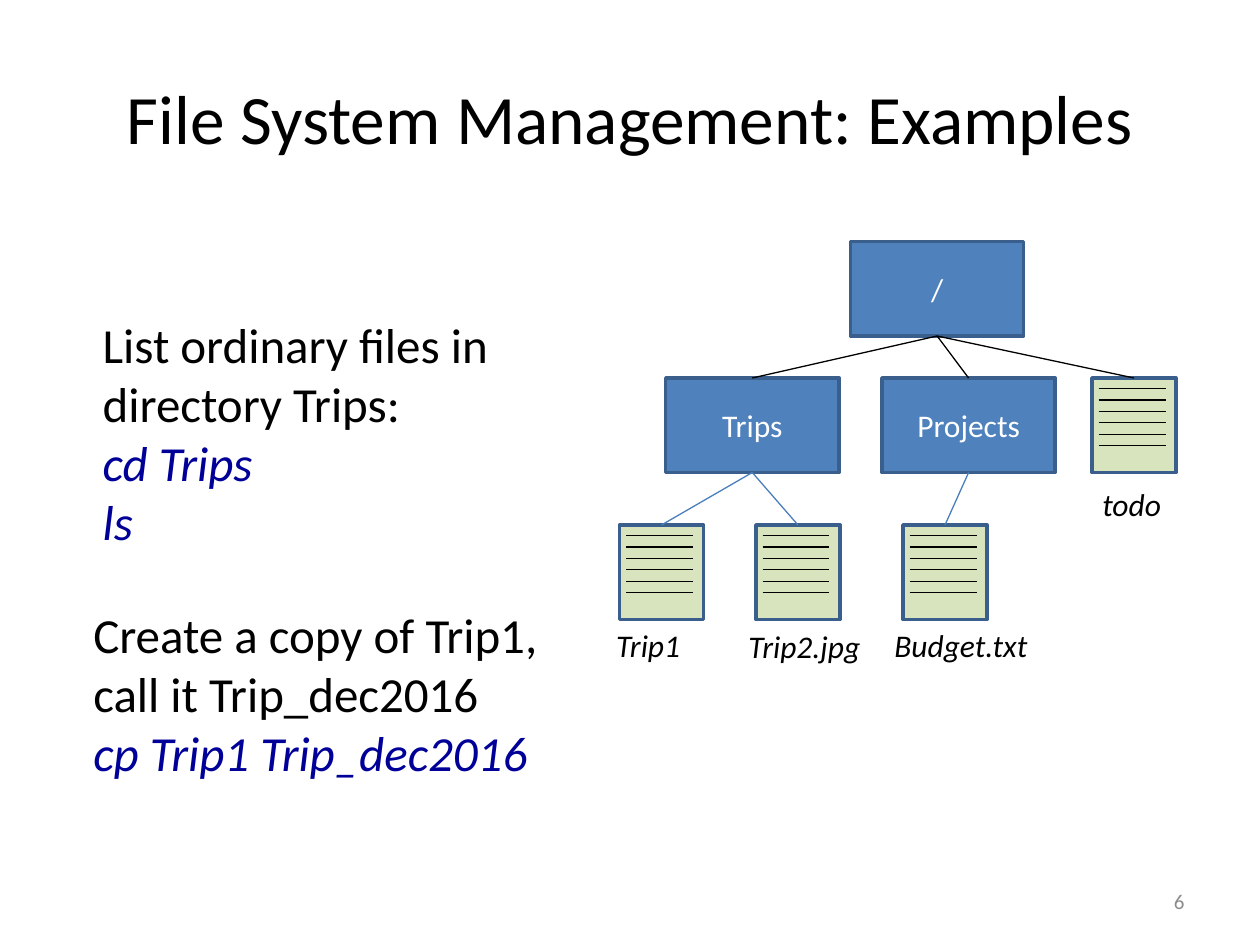
from lxml.etree import SubElement
from pptx import Presentation
from pptx.dml.color import RGBColor as RGB
from pptx.enum.shapes import MSO_CONNECTOR as Link, MSO_SHAPE as Kind
from pptx.enum.text import MSO_ANCHOR as Anchor, MSO_AUTO_SIZE as Fit, PP_ALIGN as Align
from pptx.oxml.ns import qn
from pptx.util import Inches, Pt


def tint(code):
    return RGB.from_string(code)


class Deck:
    """Style and current slide, measured in cells of a twelfth of an inch."""

    font, ink, blue = "Calibri", "000000", "4F81BD"
    edge, leaf, wire = "3A5F8C", "D7E4BD", "4B7EBC"
    code, pale, white = "000099", "8C8C8C", "FFFFFF"

    def __init__(self):
        self.show = Presentation()
        self.show.slide_width, self.show.slide_height = Inches(10), Inches(7.5)
        self.slide = self.show.slides.add_slide(self.show.slide_layouts[5])
        self.cell = self.show.slide_width / 120

    def grid(self, *cells):
        return [round(n * self.cell) for n in cells]

    def style(self, para, size, color, slant=False, align=Align.LEFT):
        para.alignment = align
        for run in para.runs:
            font = run.font
            font.name, font.size, font.italic = self.font, Pt(size), slant
            font.color.rgb = tint(color)

    def title(self, text, *area):
        head = self.slide.shapes.title
        head.left, head.top, head.width, head.height = self.grid(*area)
        frame = head.text_frame
        frame.text, frame.vertical_anchor = text, Anchor.MIDDLE
        frame.auto_size = Fit.NONE
        self.style(frame.paragraphs[0], 39.6, self.ink, align=Align.CENTER)

    def text(self, area, lines, size, align=Align.LEFT, anchor=Anchor.TOP):
        frame = self.slide.shapes.add_textbox(*self.grid(*area)).text_frame
        frame.word_wrap, frame.vertical_anchor = True, anchor
        frame.text = "\n".join(line for line, *_ in lines)
        for para, (_, color, slant) in zip(frame.paragraphs, lines):
            self.style(para, size, color, slant, align)

    def label(self, left, top, width, text):
        self.text((left, top, width, 4.8), [(text, self.ink, True)], 18)

    def rect(self, home, area, fill):
        box = home.add_shape(Kind.RECTANGLE, *self.grid(*area))
        box.shadow.inherit = False
        box.fill.solid()
        box.fill.fore_color.rgb = tint(fill)
        box.line.color.rgb, box.line.width = tint(self.edge), Pt(2)
        return box

    def folder(self, left, top, name):
        box = self.rect(self.slide.shapes, (left, top, 16.5, 9), self.blue)
        frame = box.text_frame
        frame.text, frame.vertical_anchor = name, Anchor.MIDDLE
        self.style(frame.paragraphs[0], 18, self.white, align=Align.CENTER)
        return box

    def file(self, left, top):
        home = self.slide.shapes.add_group_shape().shapes
        box = self.rect(home, (left, top, 8, 9), self.leaf)
        for step in range(6):
            row = top + 1 + 1.09 * step
            self.line(home, self.grid(left + 0.64, row, left + 7, row), self.ink)
        return box

    def line(self, home, ends, color):
        wire = home.add_connector(Link.STRAIGHT, *ends)
        wire.line.color.rgb, wire.line.width = tint(color), Pt(0.75)
        SubElement(wire.element.spPr, qn("a:effectLst"))
        return wire

    def join(self, upper, lower, color):
        wire = self.line(self.slide.shapes, (0, 0, 0, 0), color)
        wire.begin_connect(upper, 2)
        wire.end_connect(lower, 0)


def main():
    deck = Deck()
    deck.title("File System Management: Examples", 6, 3.6, 108, 15)
    deck.text((86, 83.4, 28, 4.8), [("6", deck.pale, False)], 12,
              Align.RIGHT, Anchor.MIDDLE)

    root = deck.folder(81, 23, "/")
    trips = deck.folder(63.4, 36, "Trips")
    work = deck.folder(84, 36, "Projects")
    trip, photo, budget = [deck.file(left, 50) for left in (59, 72, 86)]
    todo = deck.file(104, 36)

    for child in (trips, work, todo):
        deck.join(root, child, deck.ink)
    for folder, child in ((trips, trip), (trips, photo), (work, budget)):
        deck.join(folder, child, deck.wire)

    for left, top, width, name in (
        (57.5, 59, 9.5, "Trip1"),
        (70.1, 59.1, 14, "Trip2.jpg"),
        (84, 59, 23, "Budget.txt"),
        (103.8, 45.6, 9.5, "todo"),
    ):
        deck.label(left, top, width, name)

    deck.text((8.6, 29.4, 49.6, 23.9), [
        ("List ordinary files in directory Trips:", deck.ink, False),
        ("cd Trips", deck.code, True),
        ("ls", deck.code, True),
    ], 28)
    deck.text((7.7, 57, 49.6, 18.1), [
        ("Create a copy of Trip1, call it Trip_dec2016", deck.ink, False),
        ("cp Trip1 Trip_dec2016", deck.code, True),
    ], 28)
    deck.show.save("out.pptx")


if __name__ == "__main__":
    main()
